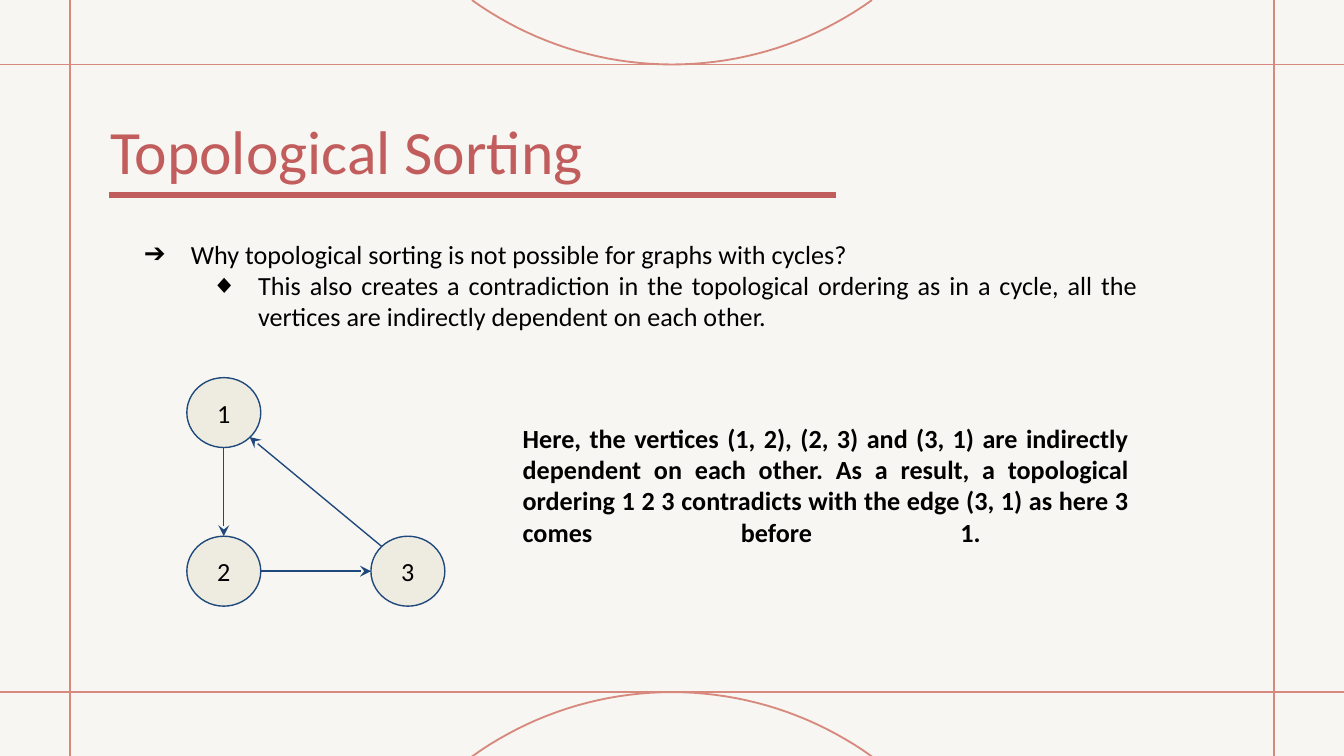
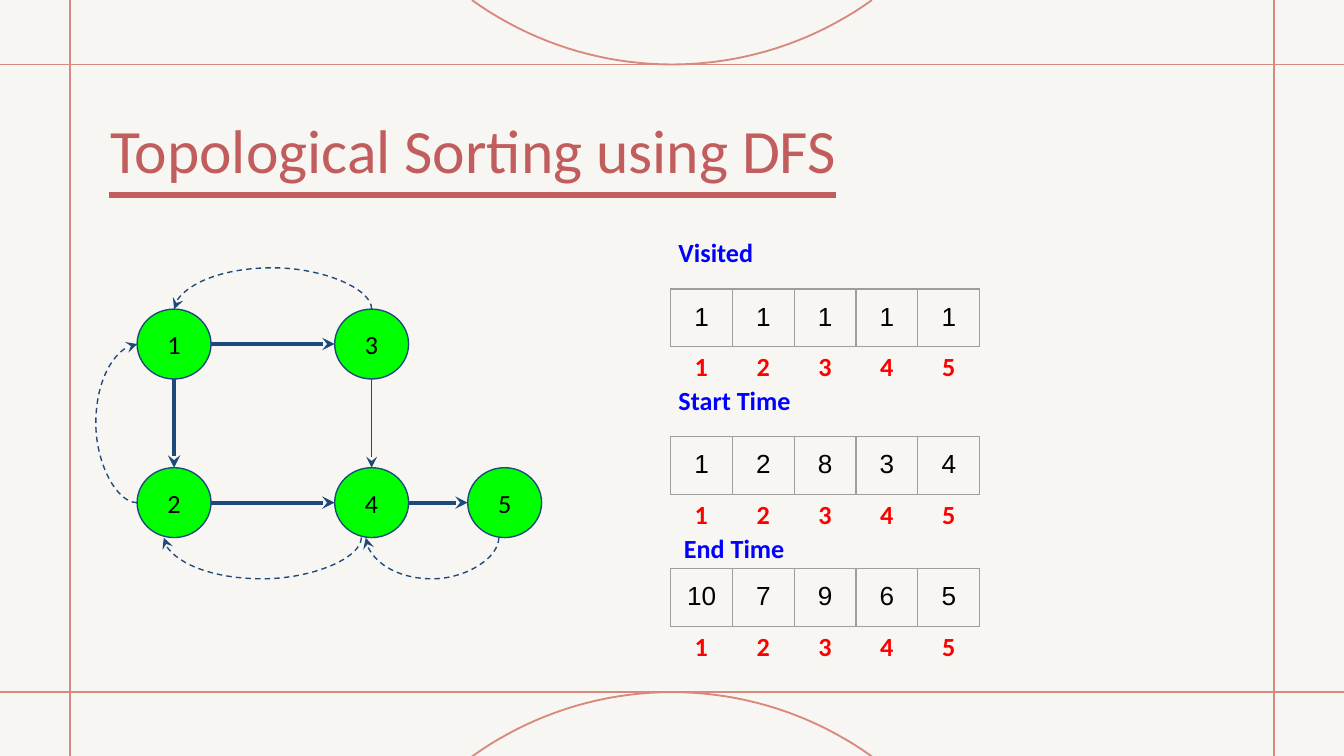
import math

from lxml import etree
from pptx import Presentation
from pptx import util as u
from pptx.dml.color import RGBColor
from pptx.enum import dml, shapes, text
from pptx.oxml import ns

WIDTH, HEIGHT = 10, 5.625
PAPER, FRAME, ACCENT, NAVY = "F8F6F2", "D8897E", "C25D5D", "1F497D"
BLACK, BLUE, RED, GREY = "000000", "0000FF", "FF0000", "9E9E9E"
CREAM, GREEN = "EEECE1", "00FF00"
NODE_WIDTH, NODE_HEIGHT = 0.55, 0.52
COLUMN, ROW = 0.46, 0.43
THIN, THICK = 0.75, 2.25


def paint(target, color):
    """Give a fill or a colour format a hex colour."""
    if hasattr(target, "solid"):
        target.solid()
        target = target.fore_color
    target.rgb = RGBColor.from_string(color)


def child(parent, tag, **attributes):
    """Append a drawing element to a parent and return it."""
    return etree.SubElement(parent, ns.qn(f"a:{tag}"), attributes)


def write(frame, content, size=14, color=BLACK, bold=False, font="Calibri",
          align=text.PP_ALIGN.LEFT, anchor=text.MSO_ANCHOR.TOP, inset=0.1, more=False):
    """Write a formatted paragraph into a text frame and return it."""
    frame.word_wrap = True
    frame.auto_size = text.MSO_AUTO_SIZE.NONE
    frame.vertical_anchor = anchor
    frame.margin_left = frame.margin_right = u.Inches(inset)
    frame.margin_top = frame.margin_bottom = u.Inches(inset)
    para = frame.add_paragraph() if more else frame.paragraphs[0]
    para.alignment = align
    para.space_before = u.Pt(0)
    for index, line in enumerate(content.split("\n")):
        if index:
            para.add_line_break()
        if line:
            span = para.add_run()
            span.text = line
            span.font.size, span.font.name, span.font.bold = u.Pt(size), font, bold
            paint(span.font.color, color)
    return para


def place(shape, left, top, width, height):
    """Move and size a shape in inches."""
    shape.left, shape.top = u.Inches(left), u.Inches(top)
    shape.width, shape.height = u.Inches(width), u.Inches(height)


def label(page, content, left, top, width, height, **style):
    """Add a text box and return its paragraph."""
    box = page.shapes.add_textbox(*map(u.Inches, (left, top, width, height)))
    return write(box.text_frame, content, **style)


def stroke(line, color, weight):
    """Colour a line and set its weight in points."""
    paint(line.fill, color)
    line.width = u.Pt(weight)


def link(page, start, end, color=NAVY, weight=THIN, kind=shapes.MSO_CONNECTOR.STRAIGHT,
         arrow=False, dashed=False):
    """Draw a connector between two points in inches."""
    connector = page.shapes.add_connector(kind, *map(u.Inches, (*start, *end)))
    stroke(connector.line, color, weight)
    if dashed:
        connector.line.dash_style = dml.MSO_LINE.DASH
    properties = connector.element.spPr
    if arrow:
        child(properties.find(ns.qn("a:ln")), "tailEnd", type="stealth", w="med", len="med")
    child(properties, "effectLst")
    return connector


def bow(page, start, end, reach):
    """Draw a dashed curved arrow that bulges down or right by reach inches."""
    middle_x, middle_y = (start[0] + end[0]) / 2, (start[1] + end[1]) / 2
    length, sliver = math.dist(start, end), 0.001
    upright = start[0] == end[0]
    near, far = middle_x, middle_x + sliver
    if upright:
        near, far = far, near
    curve = link(page, (near, middle_y - length / 2), (far, middle_y + length / 2),
                 kind=shapes.MSO_CONNECTOR.CURVE, arrow=True, dashed=True)
    curve.rotation = 180 if upright else 90
    geometry = curve.element.spPr.find(ns.qn("a:prstGeom"))
    ratio = round(reach / sliver * 100000)
    child(geometry.find(ns.qn("a:avLst")), "gd", name="adj1", fmla=f"val {ratio}")


def arc(page, edge, toward):
    """Draw a circle arc that touches a horizontal edge and leaves the slide."""
    radius, half, steps = 2.55, math.radians(35.7), 40
    angles = [half * (2 * step / steps - 1) for step in range(steps + 1)]
    points = [(u.Inches(WIDTH / 2 + radius * math.sin(angle)),
               u.Inches(edge + toward * radius * (1 - math.cos(angle)))) for angle in angles]
    builder = page.shapes.build_freeform(*points[0])
    builder.add_line_segments(points[1:], close=False)
    shape = builder.convert_to_shape()
    shape.shadow.inherit = False
    shape.fill.background()
    stroke(shape.line, FRAME, 1)


def dress_master(deck, layouts):
    """Put the background, frame lines, arcs and title rule on the master."""
    master = deck.slide_master
    paint(master.background.fill, PAPER)
    footers = {shapes.PP_PLACEHOLDER.DATE, shapes.PP_PLACEHOLDER.FOOTER,
               shapes.PP_PLACEHOLDER.SLIDE_NUMBER}
    for owner in (master, *layouts):
        for holder in list(owner.placeholders):
            if holder.placeholder_format.type in footers:
                owner.shapes.element.remove(holder.element)
    page = deck.slides[0]
    held = set(shape.shape_id for shape in page.shapes)
    for y in (5.15, 0.48):
        link(page, (0, y), (WIDTH, y), FRAME, 1)
    for x in (9.48, 0.52):
        link(page, (x, 0), (x, HEIGHT), FRAME, 1)
    arc(page, 0.48, -1)
    arc(page, 5.15, 1)
    link(page, (0.81, 1.45), (6.22, 1.45), ACCENT, 3)
    for shape in list(page.shapes):
        if shape.shape_id not in held:
            shape.element.set("moved", "1")
            del shape.element.attrib["moved"]
            master.shapes.element.append(shape.element)


def heading(page, content, top):
    """Place and format the slide title."""
    place(page.shapes.title, 0.82, top, 5.47, 0.56)
    write(page.shapes.title.text_frame, content, size=33, color=ACCENT, inset=0)


def bullets(holder, items, left, top, width, height):
    """Fill a body placeholder with (level, bullet, alignment, text) items."""
    place(holder, left, top, width, height)
    for index, (level, mark, align, content) in enumerate(items):
        para = write(holder.text_frame, content, align=align, more=index > 0)
        para.level = level
        properties = para._p.get_or_add_pPr()
        properties.set("marL", str(u.Inches(0.5 * (level + 1))))
        properties.set("indent", str(u.Inches(-0.35)))
        child(child(properties, "buClr"), "srgbClr", val=BLACK)
        child(properties, "buChar", char=mark)


def spot(corner, across, down):
    """Return the point at a fraction of a node's width and height."""
    return corner[0] + across * NODE_WIDTH, corner[1] + down * NODE_HEIGHT


def graph(page, left, top, nodes, edges, fill, bows=()):
    """Draw nodes, straight edges and curved return edges from a corner."""
    corners = {name: (left + x, top + y) for name, (x, y) in nodes.items()}
    for name, corner in corners.items():
        node = page.shapes.add_shape(shapes.MSO_SHAPE.OVAL,
                                     *map(u.Inches, (*corner, NODE_WIDTH, NODE_HEIGHT)))
        node.shadow.inherit = False
        paint(node.fill, fill)
        stroke(node.line, NAVY, THIN)
        write(node.text_frame, name, align=text.PP_ALIGN.CENTER,
              anchor=text.MSO_ANCHOR.MIDDLE)
    for source, target, weight in edges:
        start, end = corners[source], corners[target]
        if start[1] == end[1]:
            exit_at, enter_at = (1, 0.5), (0, 0.5)
        elif start[0] == end[0]:
            exit_at, enter_at = (0.5, 1), (0.5, 0)
        else:
            exit_at, enter_at = (0.15, 0.15), (0.85, 0.85)
        link(page, spot(start, *exit_at), spot(end, *enter_at), weight=weight, arrow=True)
    for source, target, side, reach in bows:
        bow(page, spot(corners[source], *side), spot(corners[target], *side), reach)


def array(page, caption, values, left, top, caption_left, caption_top):
    """Draw a captioned one-row table with its index numbers below."""
    width = COLUMN * len(values)
    holder = page.shapes.add_table(1, len(values),
                                   *map(u.Inches, (left, top, width, ROW)))
    table = holder.table
    table.first_row = table.horz_banding = False
    for column, value in enumerate(values):
        table.columns[column].width = u.Inches(COLUMN)
        cell = table.cell(0, column)
        cell.margin_left = cell.margin_right = u.Inches(0.1)
        cell.margin_top = cell.margin_bottom = u.Inches(0.1)
        write(cell.text_frame, str(value), font="Arial", align=text.PP_ALIGN.CENTER)
        properties = cell._tc.get_or_add_tcPr()
        for side in ("lnL", "lnR", "lnT", "lnB"):
            border = child(properties, side, w=str(u.Pt(THIN)))
            child(child(border, "solidFill"), "srgbClr", val=GREY)
        cell.fill.background()
    label(page, caption, left + caption_left, top + caption_top, 1.2, 0.58,
          color=BLUE, bold=True)
    numbers = "".join(f"\t{index + 1}" for index in range(len(values)))
    para = label(page, numbers, left - 0.1, top + 0.36, width + 0.2, 0.58,
                 color=RED, bold=True)
    stops = child(para._p.get_or_add_pPr(), "tabLst")
    for index in range(len(values)):
        child(stops, "tab", pos=str(u.Inches(COLUMN * (index + 0.5))), algn="ctr")


def cycle_slide(page):
    """Explain why a cycle has no topological order."""
    heading(page, "Topological Sorting", 0.84)
    bullets(page.placeholders[1], [
        (0, "➔", text.PP_ALIGN.LEFT,
         "Why topological sorting is not possible for graphs with cycles?"),
        (1, "◆", text.PP_ALIGN.JUSTIFY,
         "This also creates a contradiction in the topological ordering as in a cycle, "
         "all the vertices are indirectly dependent on each other."),
    ], 0.82, 1.67, 7.75, 0.91)
    graph(page, 1.39, 2.81, {"1": (0, 0), "2": (0, 1.18), "3": (1.37, 1.18)},
          [("1", "2", THIN), ("2", "3", THIN), ("3", "1", THIN)], CREAM)
    label(page, "Here, the vertices (1, 2), (2, 3) and (3, 1) are indirectly dependent on "
          "each other. As a result, a topological ordering 1 2 3 contradicts with the edge "
          "(3, 1) as here 3 comes before 1. \n", 3.79, 3.04, 4.71, 1.62,
          bold=True, align=text.PP_ALIGN.JUSTIFY)


def search_slide(page):
    """Show the finished depth-first search and its arrays."""
    heading(page, "Topological Sorting using DFS", 0.83)
    nodes = {"1": (0, 0), "3": (1.47, 0), "2": (0, 1.18), "4": (1.47, 1.18),
             "5": (2.46, 1.18)}
    edges = [("1", "3", THICK), ("1", "2", THICK), ("2", "4", THICK),
             ("3", "4", THIN), ("4", "5", THICK)]
    bows = [("5", "4", (0.42, 1), 0.26), ("4", "2", (0.36, 1), 0.26),
            ("2", "1", (0, 0.5), -0.26), ("3", "1", (0.5, 0), -0.26)]
    graph(page, 1.02, 2.3, nodes, edges, GREEN, bows)
    for caption, values, top, caption_left, caption_top in (
            ("Visited", (1, 1, 1, 1, 1), 2.15, -0.04, -0.49),
            ("Start Time", (1, 2, 8, 3, 4), 3.25, -0.04, -0.49),
            ("End Time", (10, 7, 9, 6, 5), 4.23, 0, -0.37)):
        array(page, caption, values, 4.99, top, caption_left, caption_top)


def main():
    """Build and save the deck."""
    deck = Presentation()
    deck.slide_width, deck.slide_height = u.Inches(WIDTH), u.Inches(HEIGHT)
    layouts = deck.slide_layouts[1], deck.slide_layouts[5]
    pages = [deck.slides.add_slide(layout) for layout in layouts]
    dress_master(deck, layouts)
    for page, build in zip(pages, (cycle_slide, search_slide)):
        build(page)
    deck.save("out.pptx")


if __name__ == "__main__":
    main()
